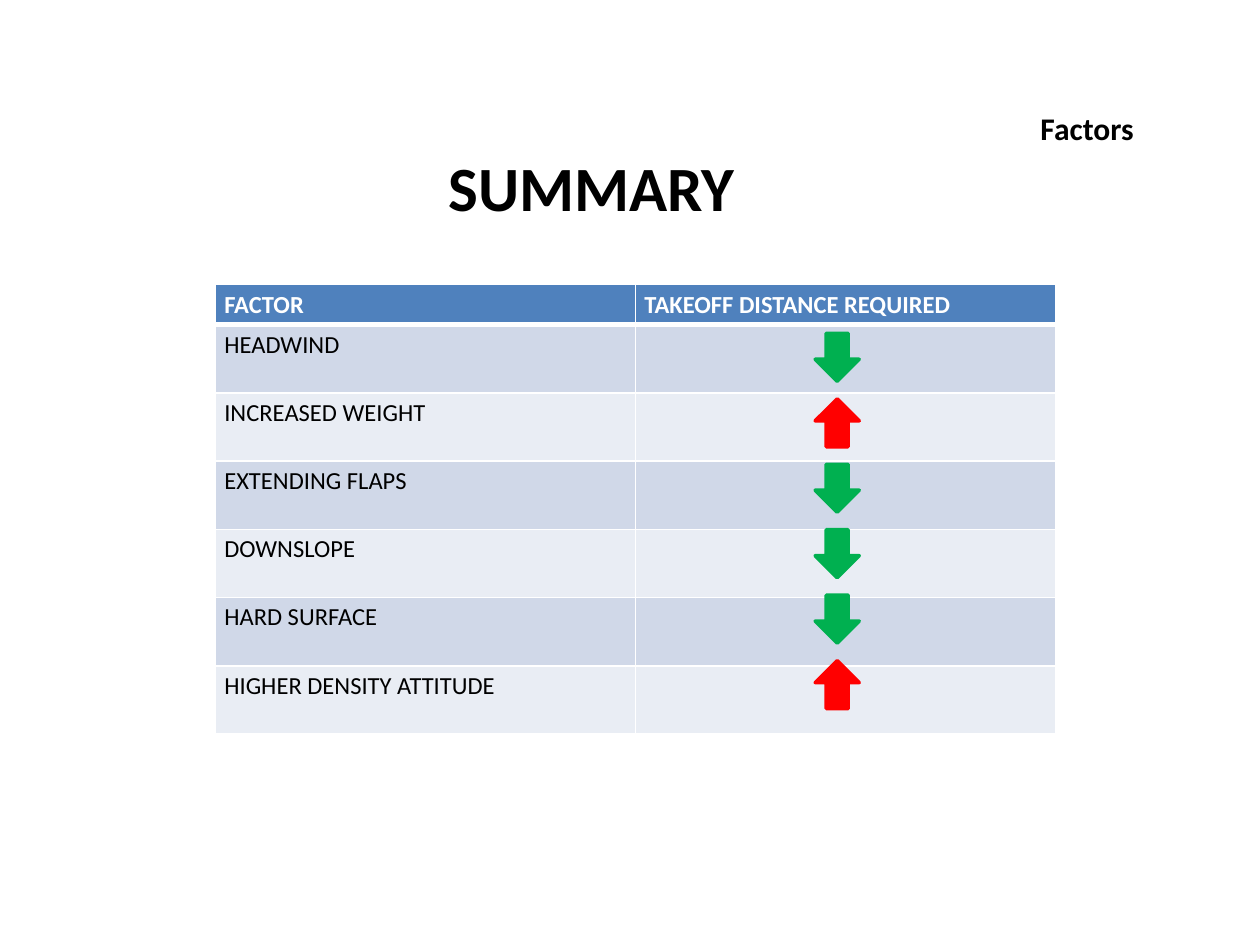
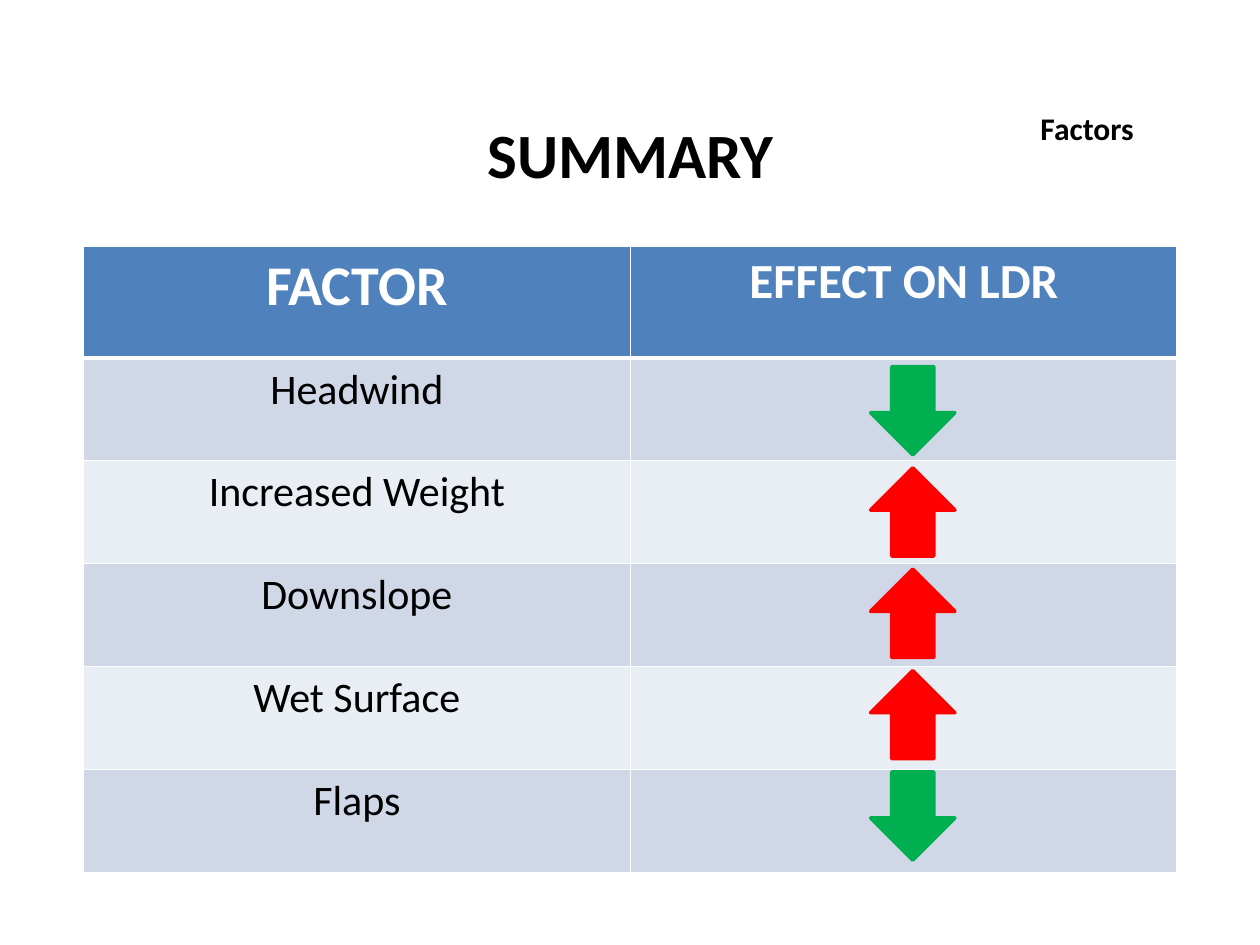
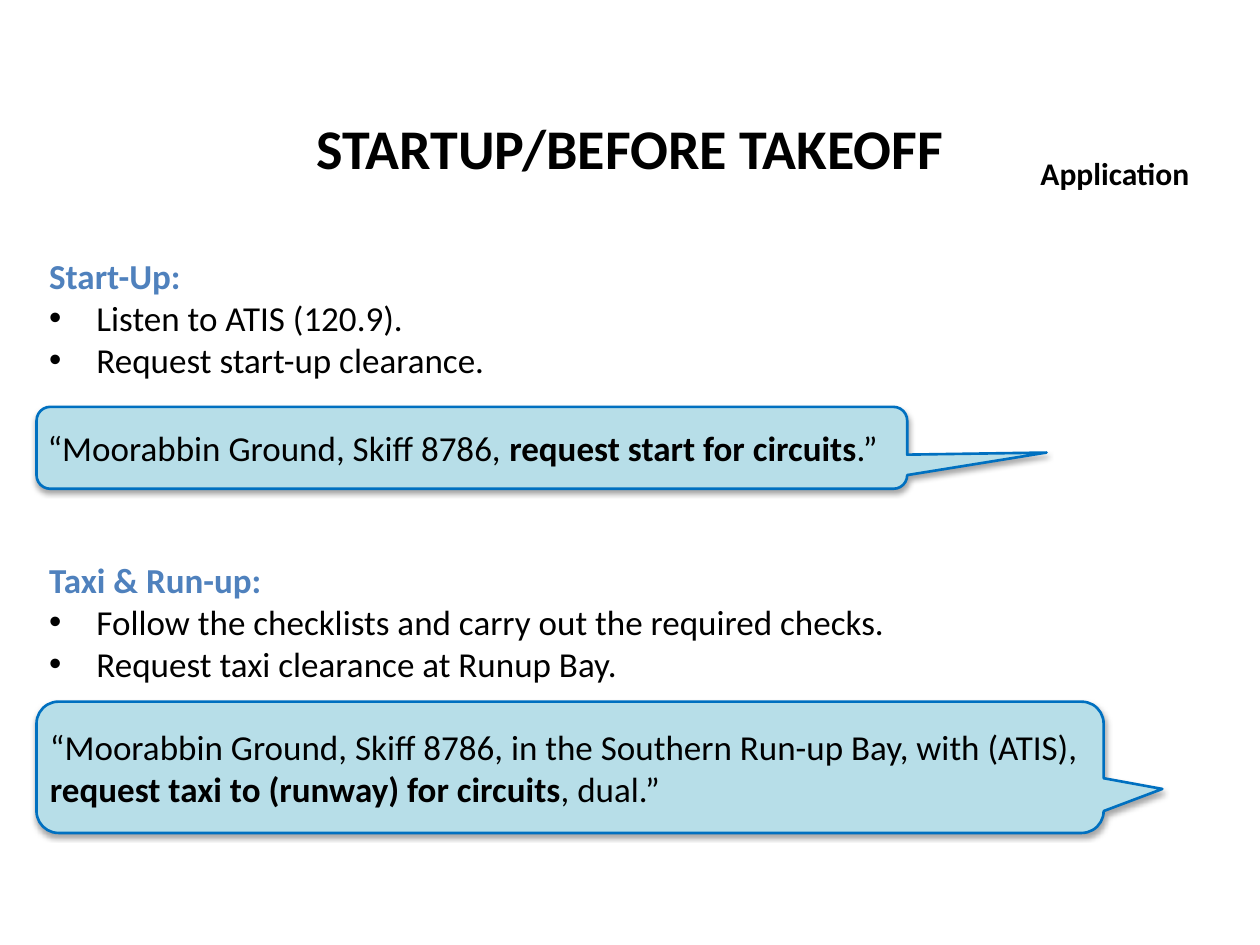
import pptx
import pptx.util
import pptx.oxml
import pptx.oxml.ns
import pptx.dml.color
import pptx.enum.shapes
import pptx.enum.text

Pt = pptx.util.Pt
RGB = pptx.dml.color.RGBColor
Align = pptx.enum.text.PP_ALIGN
Anchor = pptx.enum.text.MSO_ANCHOR
Shape = pptx.enum.shapes.MSO_SHAPE

BLACK = RGB(0x00, 0x00, 0x00)
WHITE = RGB(0xFF, 0xFF, 0xFF)
BLUE = RGB(0x4F, 0x81, 0xBD)
DARK = RGB(0xD0, 0xD8, 0xE8)
LIGHT = RGB(0xE9, 0xED, 0xF4)
GREEN = RGB(0x00, 0xB0, 0x50)
RED = RGB(0xFF, 0x00, 0x00)
AQUA = RGB(0xB7, 0xDE, 0xE8)
EDGE = RGB(0x00, 0x70, 0xC0)

FONT = "Calibri"
TITLE_ONLY, TWO_LISTS = 5, 3
ARROWS = {"up": (Shape.UP_ARROW, RED), "down": (Shape.DOWN_ARROW, GREEN)}


def make(tag, inner="", **attrs):
    """Build one DrawingML element."""
    text = "".join(f' {key}="{val}"' for key, val in attrs.items())
    space = pptx.oxml.ns.nsdecls("a")
    return pptx.oxml.parse_xml(f"<a:{tag} {space}{text}>{inner}</a:{tag}>")


class Deck:
    def __init__(self):
        self.file = pptx.Presentation()
        self.file.slide_width = Pt(720)
        self.file.slide_height = Pt(540)
        self.slide = None

    def style(self, par, size, color=BLACK, bold=False, align=Align.LEFT):
        par.alignment = align
        for run in par.runs:
            font = run.font
            font.name, font.size, font.bold = FONT, Pt(size), bold
            font.color.rgb = color

    def place(self, shape, left, top, width, height):
        shape.left, shape.top = Pt(left), Pt(top)
        shape.width, shape.height = Pt(width), Pt(height)
        frame = shape.text_frame
        frame.word_wrap = True
        frame.auto_size = pptx.enum.text.MSO_AUTO_SIZE.NONE
        frame.vertical_anchor = Anchor.TOP
        return frame

    def start(self, layout, title, box, size, align=Align.CENTER):
        """Add a slide and set its title."""
        self.slide = self.file.slides.add_slide(self.file.slide_layouts[layout])
        frame = self.place(self.slide.shapes.title, *box)
        frame.text = title
        self.style(frame.paragraphs[0], size, bold=True, align=align)

    def label(self, text, top):
        """Name the lesson part at the top right."""
        box = self.slide.shapes.add_textbox(0, 0, 0, 0)
        frame = self.place(box, 587.5, top, 130, 29)
        frame.text = text
        self.style(frame.paragraphs[0], 18, bold=True)

    def cell(self, cell, text, fill, size, color, bold, align, edges):
        props = cell._tc.get_or_add_tcPr()
        paint = f'<a:solidFill><a:srgbClr val="{WHITE}"/></a:solidFill>'
        for side, width in zip("LRTB", edges):
            props.append(make(f"ln{side}", paint, w=Pt(width)))
        cell.fill.solid()
        cell.fill.fore_color.rgb = fill
        cell.text = text
        self.style(cell.text_frame.paragraphs[0], size, color, bold, align)

    def table(self, box, heads, names, top, sizes, size, align, pad=None):
        """Draw heads over a list of factors with an empty effect column."""
        left, start, width, height = box
        grid = self.slide.shapes.add_table(
            len(names) + 1, 2, Pt(left), Pt(start), Pt(width), Pt(height)).table
        for col in grid.columns:
            col.width = Pt(width / 2)
        for num, row in enumerate(grid.rows):
            row.height = Pt((height - top) / len(names) if num else top)
            texts = (names[num - 1], "") if num else heads
            for col, (cell, text) in enumerate(zip(row.cells, texts)):
                if pad:
                    cell.margin_left = cell.margin_right = Pt(pad[0])
                    cell.margin_top = cell.margin_bottom = Pt(pad[1])
                if num == 0:
                    self.cell(cell, text, BLUE, sizes[col], WHITE, True,
                              align, (1, 1, 1, 3))
                else:
                    self.cell(cell, text, DARK if num % 2 else LIGHT, size,
                              BLACK, False, align,
                              (1, 1, 3 if num == 1 else 1, 1))

    def shape(self, kind, box, fill, line, width):
        shape = self.slide.shapes.add_shape(kind, *map(Pt, box))
        shape.shadow.inherit = False
        shape.fill.solid()
        shape.fill.fore_color.rgb = fill
        shape.line.color.rgb = line
        shape.line.width = Pt(width)
        return shape

    def arrows(self, ways, left, top, step, width, height):
        for num, way in enumerate(ways):
            kind, color = ARROWS[way]
            box = (left, top + num * step, width, height)
            self.shape(kind, box, color, color, 2)

    def list(self, slot, box, head, items):
        """Fill a body placeholder with a heading and bullets."""
        frame = self.place(self.slide.placeholders[slot], *box)
        frame.text = "\n".join([head, *items])
        for num, par in enumerate(frame.paragraphs):
            props = par._p.get_or_add_pPr()
            indent = Pt(27) if num else 0
            props.set("marL", str(indent))
            props.set("indent", str(-indent))
            props.append(make("buChar", char="•") if num else make("buNone"))
            par.space_before = Pt(0)
            self.style(par, 20, BLACK if num else BLUE, bold=num == 0)

    def callout(self, box, tip, before, strong, after):
        """Draw a radio call whose middle words are bold."""
        shape = self.shape(Shape.ROUNDED_RECTANGULAR_CALLOUT, box, AQUA, EDGE, 1.5)
        for num, value in enumerate((*tip, 0.167)):
            shape.adjustments[num] = value
        shade = make("outerShdw",
                     '<a:srgbClr val="000000"><a:alpha val="35000"/></a:srgbClr>',
                     blurRad=Pt(3.1), dist=Pt(1.8), dir=90 * 60000,
                     rotWithShape=0)
        shape._element.spPr.find(pptx.oxml.ns.qn("a:effectLst")).append(shade)
        frame = shape.text_frame
        frame.word_wrap = True
        frame.vertical_anchor = Anchor.MIDDLE
        frame.margin_left, frame.margin_right = Pt(4), 0
        par = frame.paragraphs[0]
        for text in (before, strong, after):
            par.add_run().text = text
        self.style(par, 20)
        par.runs[1].font.bold = True


def main():
    deck = Deck()

    deck.start(TITLE_ONLY, "SUMMARY", (249, 81.5, 458.5, 51), 36, Align.LEFT)
    deck.table((123.2, 162.7, 480, 256.3),
               ("FACTOR", "TAKEOFF DISTANCE REQUIRED"),
               ("HEADWIND", "INCREASED WEIGHT", "EXTENDING FLAPS",
                "DOWNSLOPE", "HARD SURFACE", "HIGHER DENSITY ATTITUDE"),
               22.3, (14, 14), 14, Align.LEFT, (5, 2.9))
    deck.arrows(("down", "up", "down", "down", "down", "up"),
                465.8, 190.5, 37.4, 25.2, 27.4)
    deck.label("Factors", 59)

    deck.start(TITLE_ONLY, "SUMMARY", (131, 62.6, 458.5, 51), 36)
    deck.table((47.7, 140.5, 625, 358),
               ("FACTOR", "EFFECT ON LDR"),
               ("Headwind", "Increased Weight", "Downslope",
                "Wet Surface", "Flaps"),
               64, (32, 28), 24, Align.CENTER)
    deck.arrows(("down", "up", "up", "up", "down"),
                497.5, 209.5, 57.9, 48.2, 50.4)
    deck.label("Factors", 59)

    deck.start(TWO_LISTS, "STARTUP/BEFORE TAKEOFF", (152, 61.2, 416, 46), 32)
    deck.list(1, (20.9, 141.8, 566.6, 82), "Start-Up:",
              ("Listen to ATIS (120.9).", "Request start-up clearance."))
    deck.callout((20.9, 232.5, 497.5, 46.8), (0.66, 0.058),
                 "“Moorabbin Ground, Skiff 8786, ",
                 "request start for circuits", ".”")
    deck.list(2, (20.9, 315.4, 609.8, 82), "Taxi & Run-up:",
              ("Follow the checklists and carry out the required checks.",
               "Request taxi clearance at Runup Bay."))
    deck.callout((20.9, 401, 609.8, 75), (0.555, 0.165),
                 "“Moorabbin Ground, Skiff 8786, in the Southern Run-up Bay, "
                 "with (ATIS), ",
                 "request taxi to (runway) for circuits", ", dual.”")
    deck.label("Application", 84.2)

    deck.file.save("out.pptx")


if __name__ == "__main__":
    main()
